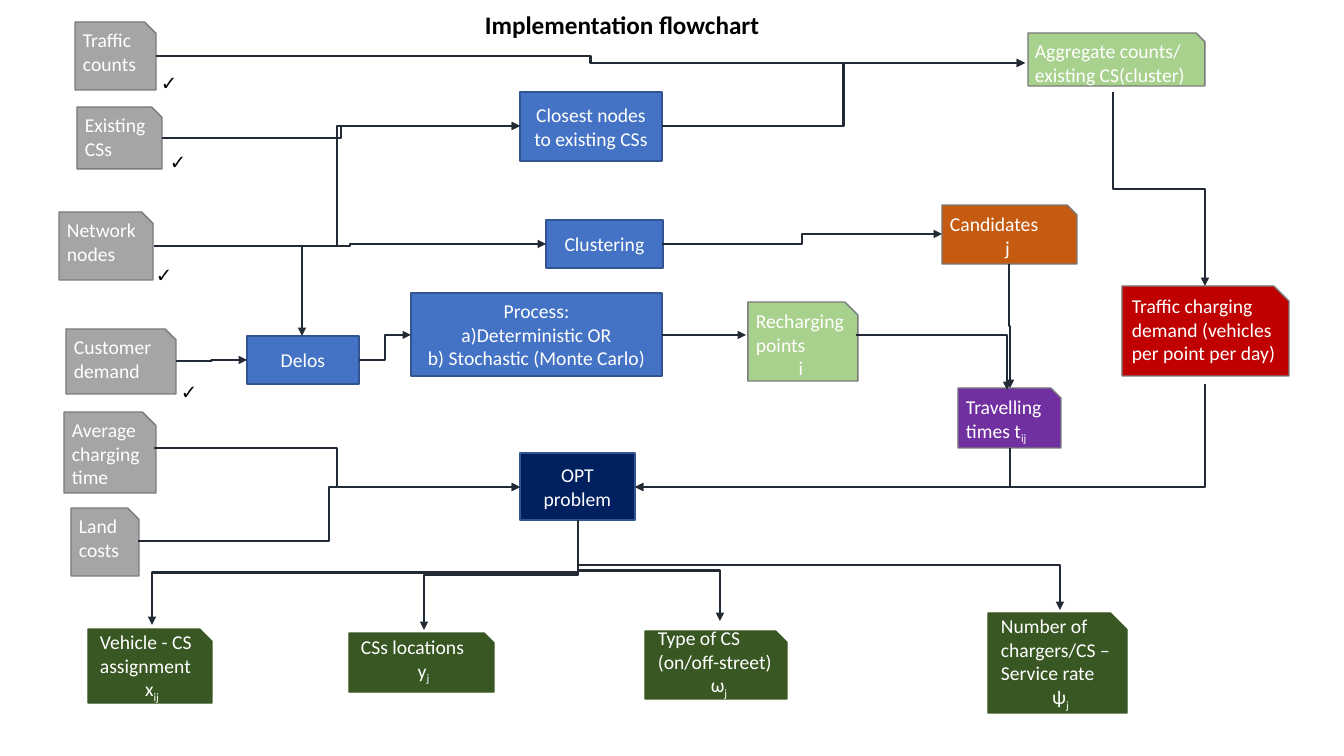
import pptx
import pptx.util
import pptx.dml.color
import pptx.enum.shapes
import pptx.enum.text
import pptx.oxml
import pptx.oxml.ns

PIXEL = 914400 / 100.8
THEME = {
    "font": "Calibri", "body": 14, "title": 18,
    "white": "FFFFFF", "black": "000000",
    "blue": "4472C4", "navy": "002060", "box line": "325491",
    "grey": "A5A5A5", "light green": "A9D18E", "orange": "C55A11",
    "red": "C00000", "purple": "7030A0", "card line": "7A7A7A",
    "dark green": "385723", "arrow": "222A35",
}

# Content: positions are left, top, width, height in pixels; "_" starts a subscript
TITLE = ("Implementation flowchart", (475, 4, 297, 40))
STEPS = [
    ("Delos", "blue", (247, 336, 112, 48)),
    ("OPT\nproblem", "navy", (520, 453, 115, 67)),
    ("Clustering", "blue", (546, 220, 117, 48)),
    ("Closest nodes to existing CSs", "blue", (520, 92, 142, 69)),
    ("Process:\na)Deterministic OR\nb) Stochastic (Monte Carlo)", "blue",
     (411, 293, 251, 83)),
]
# Label, centred symbol, fill, card, label offset (x, y), label height
CARDS = [
    ("Traffic counts", "", "grey", (75, 22, 81, 68), (-2, 1), 54),
    ("Existing CSs", "", "grey", (77, 107, 85, 62), (-2, 1), 25),
    ("Network\nnodes", "", "grey", (59, 212, 94, 68), (-2, 1), 46),
    ("Customer demand", "", "grey", (66, 329, 110, 65), (-2, 1), 43),
    ("Average charging time", "", "grey", (64, 412, 92, 81), (-2, 1), 69),
    ("Land costs", "", "grey", (71, 508, 68, 68), (-2, 1), 51),
    ("Recharging points", "i", "light green", (748, 302, 110, 79), (-2, 2), 60),
    ("Aggregate counts/ existing CS(cluster)", "", "light green",
     (1028, 33, 177, 53), (-3, 1), 57),
    ("Candidates", "j", "orange", (942, 205, 135, 59), (-2, 2), 57),
    ("Traffic charging demand (vehicles per point per day)", "", "red",
     (1122, 286, 167, 90), (0, 3), 95),
    ("Travelling times t_ij", "", "purple", (958, 388, 103, 60), (-2, 2), 57),
    ("Vehicle - CS assignment", "x_ij", "dark green", (88, 629, 124, 74), (2, -4), 82),
    ("CSs locations", "y_j", "dark green", (349, 633, 145, 59), (2, -3), 82),
    ("Type of CS (on/off-street)", "ω_j", "dark green",
     (645, 631, 142, 68), (3, -10), 82),
    ("Number of chargers/CS – Service rate", "ψ_j", "dark green",
     (988, 613, 139, 100), (3, -4), 105),
]
TICKS = [(151, 66, 22, 34), (160, 145, 22, 34), (146, 258, 22, 34), (171, 375, 22, 25)]

# Arrows by first direction and number of bends: start and end points
NETWORK, PROBLEM, OUTPUT = (154, 246), (520, 487), (578, 520)
CLOSEST, AGGREGATE, RETURN = (520, 126), (1025, 63), (635, 487)
ARROWS = {
    ("across", 2): [
        ((156, 56), AGGREGATE), ((662, 126), AGGREGATE),
        ((162, 138), CLOSEST), (NETWORK, CLOSEST), (NETWORK, (546, 244)),
        ((662, 244), (942, 234)), ((176, 361), (247, 360)),
        ((359, 360), (411, 335)), ((662, 335), (746, 335)),
        ((154, 448), PROBLEM), ((138, 541), PROBLEM),
    ],
    ("across", 1): [(NETWORK, (302, 336)), ((856, 335), (1007, 390))],
    ("down", 2): [
        (OUTPUT, (152, 625)), (OUTPUT, (424, 630)),
        (OUTPUT, (720, 621)), (OUTPUT, (1060, 610)),
        ((1113, 92), (1205, 286)), ((1009, 264), (1010, 388)),
    ],
    ("down", 1): [((1010, 448), RETURN), ((1205, 384), RETURN)],
}


def scaled(lengths):
    return [pptx.util.Emu(round(length * PIXEL)) for length in lengths]


def color(name):
    return pptx.dml.color.RGBColor.from_string(THEME[name])


def add_run(paragraph, text, ink, size, bold, subscript):
    run = paragraph.add_run()
    run.text = text
    run.font.name = THEME["font"]
    run.font.size = pptx.util.Pt(THEME[size])
    run.font.color.rgb = color(ink)
    if bold:
        run.font.bold = True
    if subscript:
        run.font._element.set("baseline", "-25000")


def write(frame, lines, ink="white", size="body", bold=False):
    """Fill a frame from (text, is_centred) lines."""
    for number, (text, centred) in enumerate(lines):
        paragraph = frame.add_paragraph() if number else frame.paragraphs[0]
        align = pptx.enum.text.PP_ALIGN
        paragraph.alignment = align.CENTER if centred else align.LEFT
        for part, piece in enumerate(text.split("_")):
            add_run(paragraph, piece, ink, size, bold, part > 0)


def add_label(shapes, box, lines, wrap=True, **style):
    frame = shapes.add_textbox(*scaled(box)).text_frame
    frame.word_wrap = wrap
    frame.auto_size = pptx.enum.text.MSO_AUTO_SIZE.SHAPE_TO_FIT_TEXT
    write(frame, lines, **style)


def add_block(shapes, kind, box, fill, line):
    shape = shapes.add_shape(kind, *scaled(box))
    shape.shadow.inherit = False
    shape.fill.solid()
    shape.fill.fore_color.rgb = color(fill)
    shape.line.color.rgb = color(line)
    shape.line.width = pptx.util.Pt(1)
    return shape


def add_arrow(shapes, direction, bends, start, end):
    (x1, y1), (x2, y2) = start, end
    rightward = x2 > x1
    if direction == "down":
        # Swap the sides about the centre; the quarter turn puts them back
        middle_x, middle_y = (x1 + x2) / 2, (y1 + y2) / 2
        half_width, half_height = (y2 - y1) / 2, abs(x2 - x1) / 2
        if rightward:
            half_width = -half_width
        x1, x2 = middle_x - half_width, middle_x + half_width
        y1, y2 = middle_y - half_height, middle_y + half_height
    connector = shapes.add_connector(
        pptx.enum.shapes.MSO_CONNECTOR.ELBOW, *scaled((x1, y1, x2, y2)))
    connector.line.color.rgb = color("arrow")
    connector.line.width = pptx.util.Pt(1.5)
    properties = connector.element.spPr
    find = pptx.oxml.ns.qn
    if direction == "down":
        turn = 270 if rightward else 90
        properties.find(find("a:xfrm")).set("rot", str(turn * 60000))
    properties.find(find("a:prstGeom")).set("prst", f"bentConnector{bends + 1}")
    namespace = pptx.oxml.ns.nsdecls("a")
    properties.find(find("a:ln")).append(
        pptx.oxml.parse_xml(f'<a:tailEnd {namespace} type="triangle"/>'))
    properties.append(pptx.oxml.parse_xml(f"<a:effectLst {namespace}/>"))


presentation = pptx.Presentation()
presentation.slide_width, presentation.slide_height = scaled((1344, 756))
slide = presentation.slides.add_slide(presentation.slide_layouts[6])
SHAPES = pptx.enum.shapes.MSO_SHAPE

# Process steps
for text, fill, box in STEPS:
    step = add_block(slide.shapes, SHAPES.RECTANGLE, box, fill, "box line")
    step.text_frame.word_wrap = True
    step.text_frame.vertical_anchor = pptx.enum.text.MSO_ANCHOR.MIDDLE
    write(step.text_frame, [(line, True) for line in text.split("\n")])

# Data cards with their labels
for text, symbol, fill, box, (shift_x, shift_y), height in CARDS:
    group = slide.shapes.add_group_shape()
    outline = fill if fill == "dark green" else "card line"
    add_block(group.shapes, SHAPES.SNIP_1_RECTANGLE, box, fill, outline)
    left, top, width, _ = box
    lines = [(line, False) for line in text.split("\n")]
    if symbol:
        lines.append((symbol, True))
    add_label(group.shapes, (left + shift_x, top + shift_y, width, height), lines)

# Ticks on the available inputs
for box in TICKS:
    add_label(slide.shapes, box, [("✓", False)], ink="black")

# Arrows
for (direction, bends), ends in ARROWS.items():
    for start, end in ends:
        add_arrow(slide.shapes, direction, bends, start, end)

# Title
title, box = TITLE
add_label(slide.shapes, box, [(title, False)], wrap=False,
          ink="black", size="title", bold=True)

presentation.save("out.pptx")
